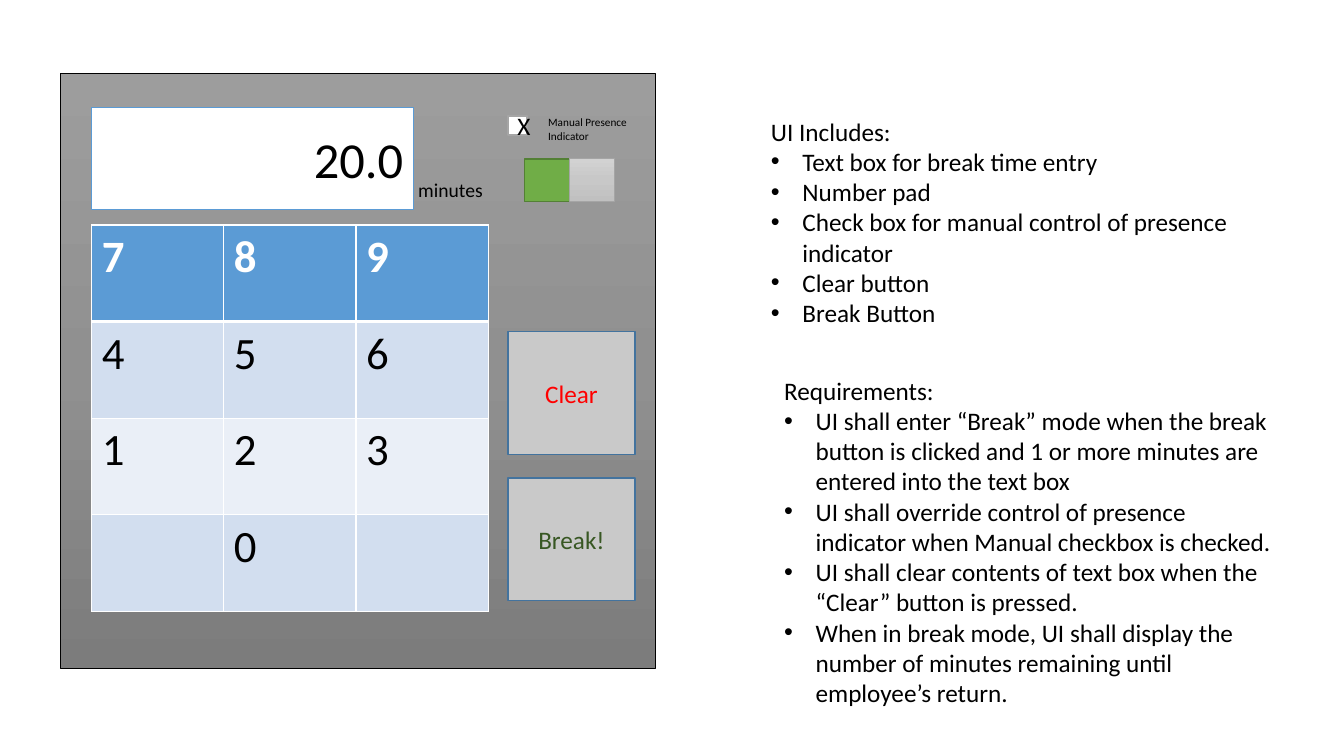
from copy import deepcopy
from dataclasses import dataclass

from lxml import etree
from pptx import Presentation
from pptx.dml.color import RGBColor
from pptx.enum import shapes, text
from pptx.oxml import ns
from pptx.util import Pt


@dataclass(frozen=True)
class Theme:
    font: str = "Calibri"
    black: str = "000000"
    white: str = "FFFFFF"
    blue: str = "5B9BD5"
    button: str = "C9C9C9"
    button_line: str = "43739E"
    grey_line: str = "A5A5A5"
    green: str = "70AD47"
    green_line: str = "538035"
    clear: str = "FF0000"
    go: str = "385723"
    band_dark: str = "D2DEEF"
    band_light: str = "EAEFF7"
    panel: tuple = ("9D9D9D", "909090", "7C7C7C")
    switch: tuple = ("D2D2D2", "C8C8C8", "C0C0C0")
    display: int = 36
    key: int = 32
    body: int = 18
    unit: int = 14
    label: int = 8


def apply(obj, values):
    for name, value in values.items():
        setattr(obj, name, value)


class Builder:
    def __init__(self, slide, theme):
        self.s, self.t = slide, theme

    def add_words(self, p, words, size, color=None, bold=False):
        r = p.add_run()
        r.text = words
        apply(r.font, dict(name=self.t.font, size=Pt(size), bold=bold))
        r.font.color.rgb = RGBColor.from_string(color or self.t.black)

    def gradient(self, sp, colors):
        """Fill top to bottom with three evenly spaced colours."""
        sp.fill.gradient()
        sp.fill.gradient_angle = 270
        stops = sp._element.spPr.find(".//" + ns.qn("a:gsLst"))
        stops.insert(1, deepcopy(stops[0]))
        for i, (stop, color) in enumerate(zip(sp.fill.gradient_stops, colors)):
            stop.position = i / 2
            stop.color.rgb = RGBColor.from_string(color)

    def box(self, at, fill, line, width=1, words="", size=18, color=None,
            align=text.PP_ALIGN.CENTER):
        sp = self.s.shapes.add_shape(shapes.MSO_SHAPE.RECTANGLE, *map(Pt, at))
        sp.shadow.inherit = False
        if isinstance(fill, tuple):
            self.gradient(sp, fill)
        else:
            sp.fill.solid()
            sp.fill.fore_color.rgb = RGBColor.from_string(fill)
        sp.line.color.rgb = RGBColor.from_string(line)
        sp.line.width = Pt(width)
        if words:
            tf = sp.text_frame
            apply(tf, dict(word_wrap=True, vertical_anchor=text.MSO_ANCHOR.MIDDLE))
            tf.paragraphs[0].alignment = align
            self.add_words(tf.paragraphs[0], words, size, color)

    def note(self, at, heading, size, bullets=()):
        tf = self.s.shapes.add_textbox(*map(Pt, at)).text_frame
        apply(tf, dict(word_wrap=True, auto_size=text.MSO_AUTO_SIZE.SHAPE_TO_FIT_TEXT))
        self.add_words(tf.paragraphs[0], heading, size)
        for item in bullets:
            p = tf.add_paragraph()
            pPr = p._p.get_or_add_pPr()
            pPr.set("marL", str(Pt(22.5)))
            pPr.set("indent", str(-Pt(22.5)))
            etree.SubElement(pPr, ns.qn("a:buFont"), typeface="Arial")
            etree.SubElement(pPr, ns.qn("a:buChar"), char="•")
            self.add_words(p, item, size)

    def borders(self, cell, widths):
        tcPr = cell._tc.get_or_add_tcPr()
        for i, (side, width) in enumerate(zip("LRTB", widths)):
            ln = etree.Element(ns.qn("a:ln" + side), w=str(Pt(width)))
            fill = etree.SubElement(ln, ns.qn("a:solidFill"))
            etree.SubElement(fill, ns.qn("a:srgbClr"), val=self.t.white)
            tcPr.insert(i, ln)

    def keypad(self, at, rows):
        t = self.t
        table = self.s.shapes.add_table(len(rows), len(rows[0]), *map(Pt, at)).table
        apply(table, dict(first_row=False, horz_banding=False))
        fills = (t.blue, t.band_dark, t.band_light, t.band_dark)
        for i, (keys, fill) in enumerate(zip(rows, fills)):
            top, bottom = (3 if i == 1 else 1), (3 if i == 0 else 1)
            for j, key in enumerate(keys):
                cell = table.cell(i, j)
                cell.fill.solid()
                cell.fill.fore_color.rgb = RGBColor.from_string(fill)
                self.borders(cell, (1, 1, top, bottom))
                if key.strip():
                    self.add_words(cell.text_frame.paragraphs[0], key, t.key,
                                   t.white if i == 0 else t.black, i == 0)


prs = Presentation()
apply(prs, dict(slide_width=Pt(960), slide_height=Pt(540)))
t = Theme()
b = Builder(prs.slides.add_slide(prs.slide_layouts[6]), t)

# Panel and minutes display
b.box((43.2, 52.6, 424.8, 424.8), t.panel, t.black, 0.5)
b.box((65.5, 77, 229.7, 72.7), t.white, t.blue, words="20.0", size=t.display,
      align=text.PP_ALIGN.RIGHT)
b.note((291.6, 123.8, 74.2, 24.5), "minutes", t.unit)

# Action buttons
for top, words, color in ((236.9, "Clear", t.clear), (341.3, "Break!", t.go)):
    b.box((362.9, top, 90.7, 87.8), t.button, t.button_line, words=words,
          size=t.body, color=color)

# Manual presence check box and switch
b.box((362.9, 82.8, 13.7, 13.7), t.white, t.grey_line, words="X", size=t.body)
b.note((384.5, 79.2, 76.3, 26.6), "Manual Presence Indicator", t.label)
b.box((374.6, 113.6, 32, 30.4), t.green, t.green_line)
b.box((406.8, 113.2, 32, 30.4), t.switch, t.grey_line, 0.5)

# Number pad
b.keypad((65.5, 160.7, 283.2, 276), ("789", "456", "123", " 0 "))

# Notes
b.note((543.6, 79.2, 366.5, 181.4), "UI Includes:", t.body, (
    "Text box for break time entry",
    "Number pad",
    "Check box for manual control of presence indicator",
    "Clear button",
    "Break Button"))
b.note((553, 264.3, 366.5, 247), "Requirements:", t.body, (
    "UI shall enter “Break” mode when the break button is clicked and "
    "1 or more minutes are entered into the text box",
    "UI shall override control of presence indicator when Manual checkbox is checked.",
    "UI shall clear contents of text box when the “Clear” button is pressed.",
    "When in break mode, UI shall display the number of minutes remaining "
    "until employee’s return."))

prs.save("out.pptx")
